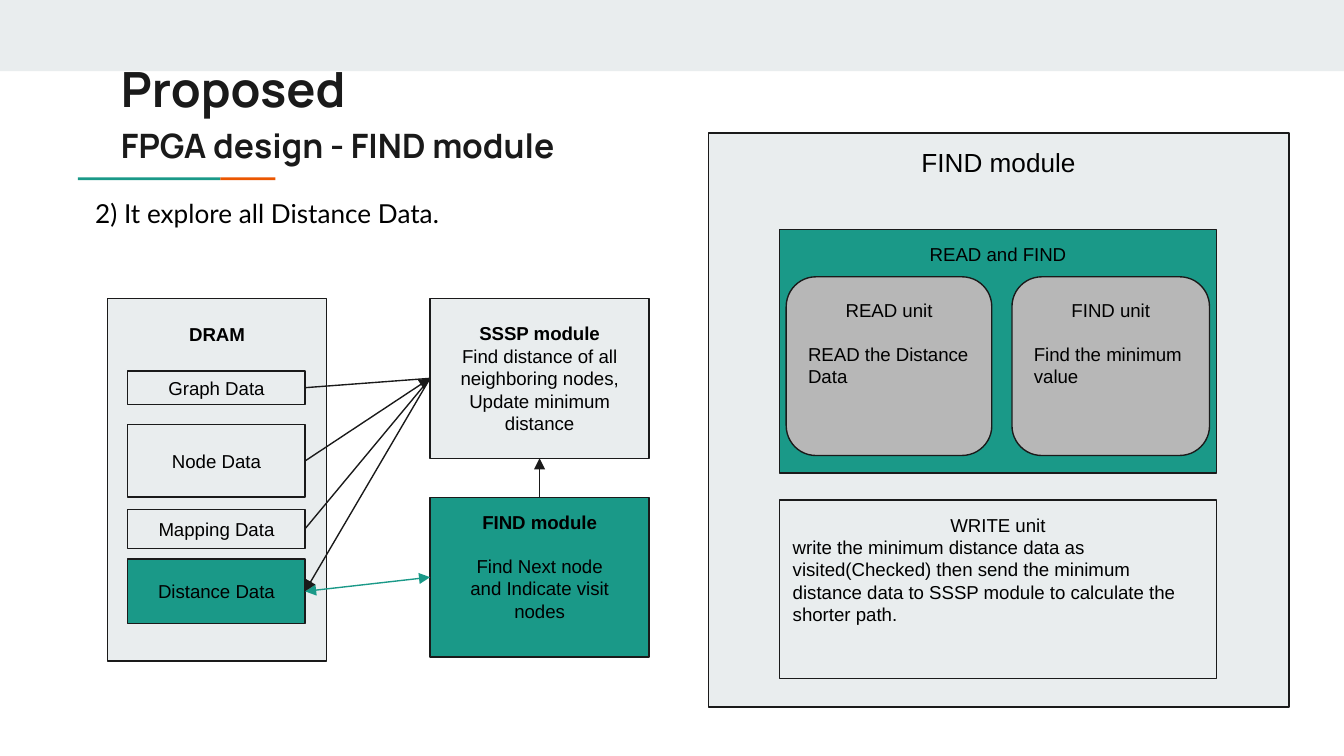
import pptx
import pptx.dml.color
import pptx.enum.shapes
import pptx.enum.text
import pptx.oxml
import pptx.util

Inches = pptx.util.Inches
Pt = pptx.util.Pt
Kind = pptx.enum.shapes.MSO_SHAPE
Align = pptx.enum.text.PP_ALIGN
Anchor = pptx.enum.text.MSO_ANCHOR

HUES = {"pale": "E9EDEE", "teal": "1A9988", "orange": "EB5600",
        "grey": "B7B7B7", "ink": "1A1A1A", "black": "000000"}
LINE = 0.75
GAP = 11.5


def hue(name):
    """Return the named colour."""
    return pptx.dml.color.RGBColor.from_string(HUES[name])


def write(shape, texts, size=10, font="Arial", color="black", bold=0,
          left=(), gap=None, anchor=Anchor.TOP, top=0.1):
    """Fill a shape with text; bold counts bold lines, left lists left-aligned ones."""
    frame = shape.text_frame
    frame.text = "\n".join(texts)
    frame.word_wrap = True
    frame.auto_size = pptx.enum.text.MSO_AUTO_SIZE.NONE
    frame.vertical_anchor = anchor
    frame.margin_left = frame.margin_right = frame.margin_bottom = Inches(0.1)
    frame.margin_top = Inches(top)
    for n, para in enumerate(frame.paragraphs):
        para.alignment = Align.LEFT if n in left else Align.CENTER
        para.space_before = Pt(GAP if n == gap else 0)
        for run in para.runs:
            run.font.size = Pt(size)
            run.font.name = font
            run.font.bold = n < bold
            run.font.color.rgb = hue(color)


def block(slide, box, fill, texts=(), kind=Kind.RECTANGLE, edge=True, **style):
    """Add a filled shape with optional outline and text."""
    shape = slide.shapes.add_shape(kind, *map(Inches, box))
    shape.shadow.inherit = False
    shape.fill.solid()
    shape.fill.fore_color.rgb = hue(fill)
    if edge:
        shape.line.color.rgb = hue("ink")
        shape.line.width = Pt(LINE)
    else:
        shape.line.fill.background()
    if texts:
        write(shape, texts, **style)
    return shape


def link(slide, start, end, color="ink", ends=()):
    """Join two (shape, side) pairs with a line that has the given arrowheads."""
    wire = slide.shapes.add_connector(
        pptx.enum.shapes.MSO_CONNECTOR.STRAIGHT, 0, 0, 0, 0)
    wire.begin_connect(*start)
    wire.end_connect(*end)
    wire.line.color.rgb = hue(color)
    wire.line.width = Pt(LINE)
    props = wire.element.spPr
    for tag in ends:
        head = pptx.oxml.parse_xml(
            f'<a:{tag} xmlns:a="http://schemas.openxmlformats.org/drawingml/2006/main"'
            ' type="triangle"/>')
        props.ln.append(head)
    props.append(pptx.oxml.parse_xml(
        '<a:effectLst xmlns:a="http://schemas.openxmlformats.org/drawingml/2006/main"/>'))


def place(shape, box):
    """Move and size a shape."""
    shape.left, shape.top, shape.width, shape.height = map(Inches, box)


def header(slide, box):
    """Build the band, both headings, the accent rule and the lead line."""
    x, y, wide, high = box
    title, sub = slide.shapes.title, slide.placeholders[1]
    band = block(slide, (x, y, wide, high), "pale", edge=False)
    title.element.addprevious(band.element)
    heads = ((title, "Proposed", 26, 0.34, 0.62),
             (sub, "FPGA design - FIND module", 18, 0.83, 0.7))
    for shape, text, size, top, tall in heads:
        place(shape, (x + 0.8, y + top, 8.41, tall))
        write(shape, [text], size, "Manrope", "ink", bold=1, left=[0])
    for left, span, fill in ((0.58, 1.06, "teal"), (1.64, 0.41, "orange")):
        block(slide, (x + left, y + 1.32, span, 0.02), fill, edge=False)
    lead = slide.shapes.add_textbox(
        *map(Inches, (x + 0.61, y + 1.37, 6.82, 0.8)))
    write(lead, ["2) It explore all Distance Data."], 14, "Lato", left=[0])


def memory(slide, box):
    """Build the DRAM column and return its four data blocks."""
    x, y, wide, high = box
    block(slide, box, "pale", ["DRAM"], bold=1, top=0.18)
    rows = (("Graph", 0.54, 0.25, "pale"), ("Node", 0.94, 0.54, "pale"),
            ("Mapping", 1.57, 0.29, "pale"), ("Distance", 1.94, 0.48, "teal"))
    return [block(slide, (x + 0.15, y + top, wide - 0.31, tall), fill,
                  [f"{name} Data"], anchor=Anchor.MIDDLE)
            for name, top, tall, fill in rows]


def flow(slide, box):
    """Build the memory, the two modules and the arrows between them."""
    x, y, wide, high = box
    span, tall = 1.63, 1.19
    data = memory(slide, (x, y, span, high))
    right = x + wide - span
    sssp = block(slide, (right, y, span, tall), "pale",
                 ["SSSP module", "Find distance of all neighboring nodes,",
                  "Update minimum distance"], bold=1, anchor=Anchor.MIDDLE)
    find = block(slide, (right, y + 1.48, span, tall), "teal",
                 ["FIND module", "Find Next node", "and Indicate visit nodes"],
                 bold=1, gap=1)
    graph, node, index, dist = data
    link(slide, (graph, 3), (sssp, 1))
    link(slide, (node, 3), (sssp, 1), ends=["tailEnd"])
    link(slide, (index, 3), (sssp, 1))
    link(slide, (find, 0), (sssp, 2), ends=["tailEnd"])
    link(slide, (find, 1), (dist, 3), "teal", ["headEnd", "tailEnd"])
    link(slide, (sssp, 1), (dist, 3), ends=["tailEnd"])


def detail(slide, box):
    """Build the panel that opens up the FIND module."""
    x, y, wide, high = box
    block(slide, box, "pale", ["FIND module"], size=14)
    left, span = x + 0.53, 3.25
    block(slide, (left, y + 0.72, span, 1.81), "teal", ["READ and FIND"])
    block(slide, (left, y + 2.73, span, 1.33), "pale",
          ["WRITE unit",
           "write the minimum distance data as visited(Checked) then send the "
           "minimum distance data to SSSP module to calculate the shorter path."],
          left=[1])
    units = ((0.05, 1.53, "READ unit", "READ the Distance Data"),
             (1.73, 1.47, "FIND unit", "Find the minimum value"))
    for shift, size, name, task in units:
        block(slide, (left + shift, y + 1.07, size, 1.33), "grey",
              [name, task], Kind.ROUNDED_RECTANGLE, left=[1], gap=1)


def main():
    """Build and save the slide."""
    deck = pptx.Presentation()
    deck.slide_width = Inches(10)
    deck.slide_height = deck.slide_width * 9 // 16
    slide = deck.slides.add_slide(deck.slide_layouts[0])
    header(slide, (0, 0, 10, 0.53))
    flow(slide, (0.8, 2.22, 4.03, 2.7))
    detail(slide, (5.27, 0.99, 4.32, 4.27))
    deck.save("out.pptx")


if __name__ == "__main__":
    main()
